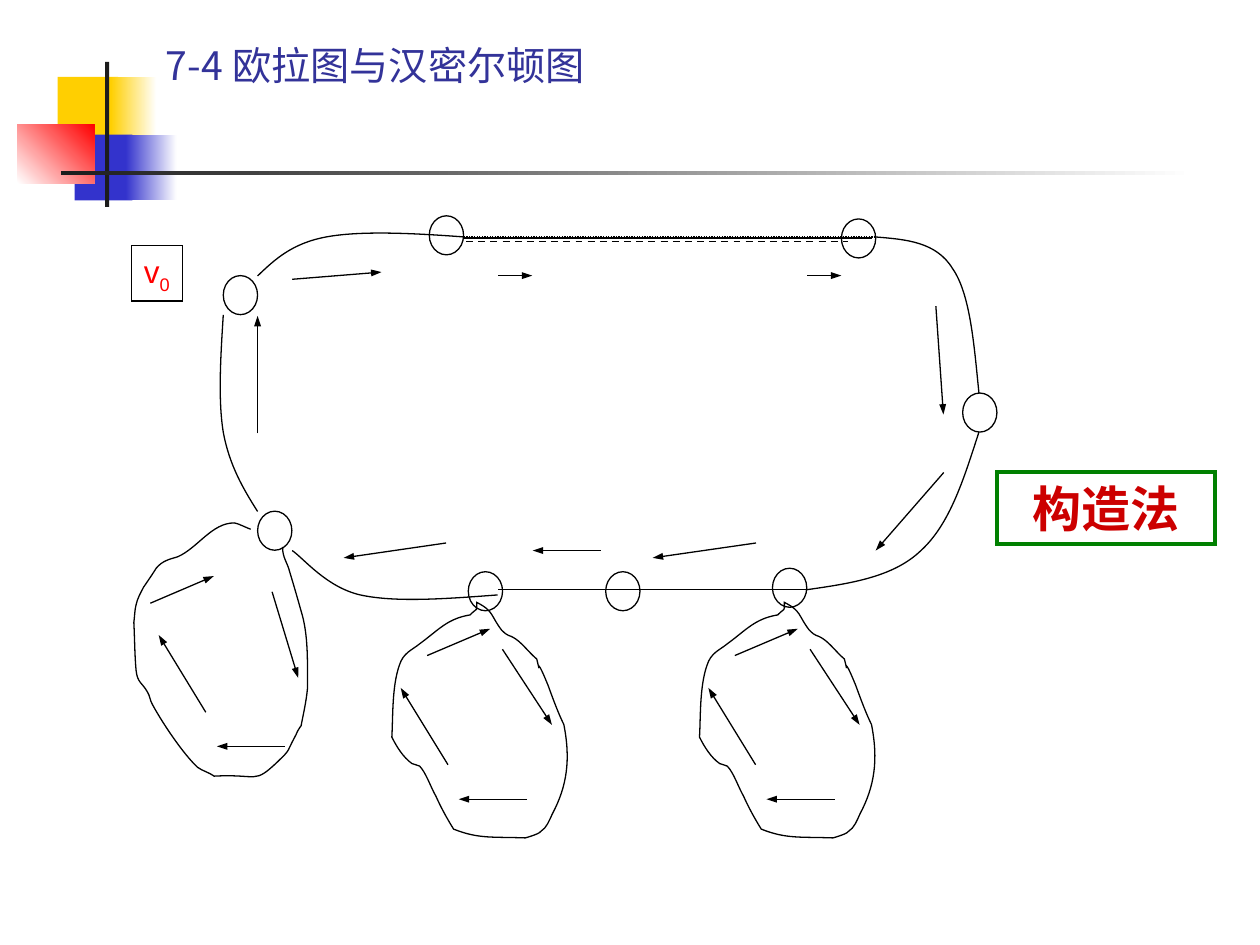
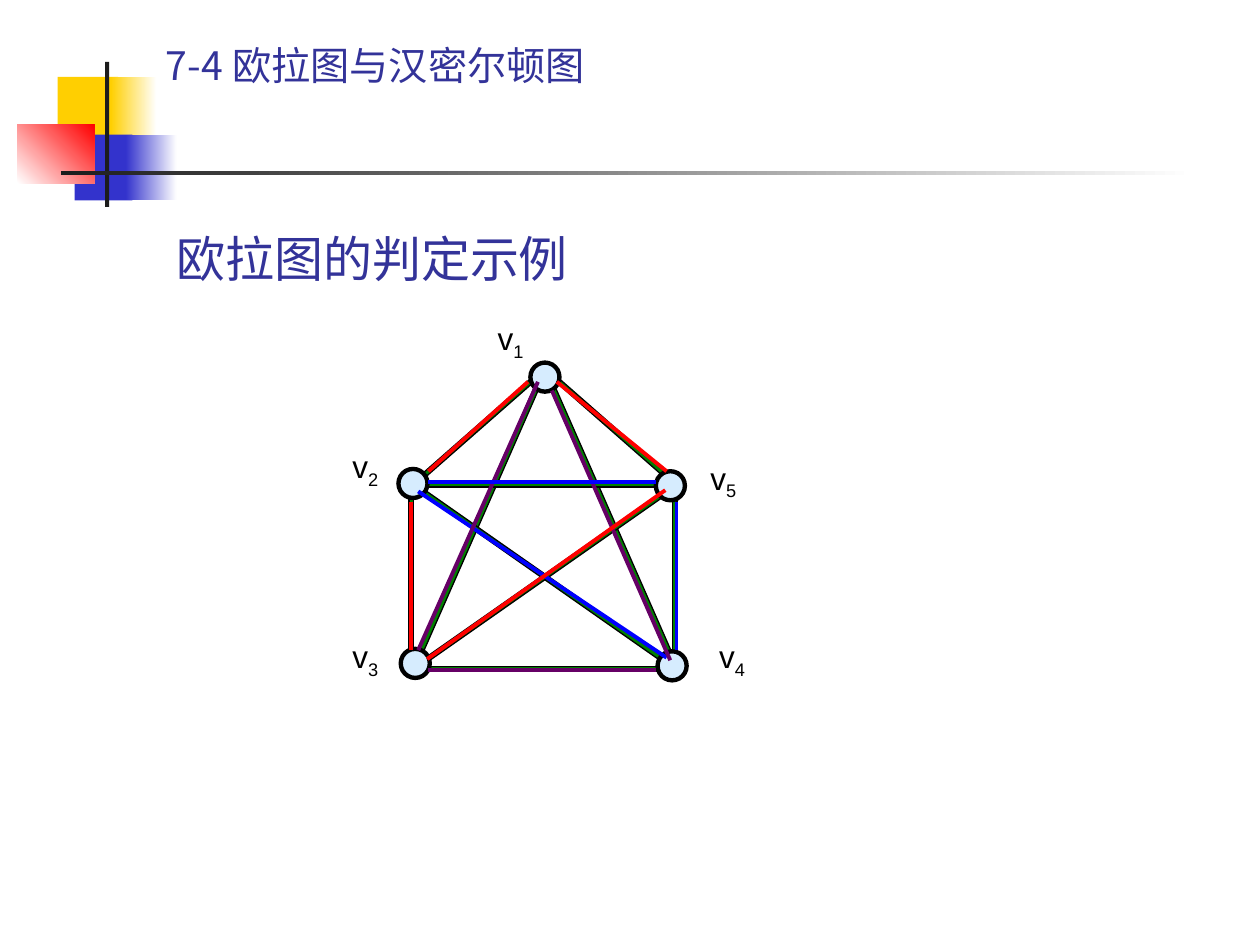
import itertools
import math
from typing import NamedTuple, Optional

import lxml.etree
import pptx
import pptx.dml.color
import pptx.enum.dml
import pptx.enum.shapes
import pptx.enum.text
import pptx.oxml.ns
import pptx.util

Pt = pptx.util.Pt
qn = pptx.oxml.ns.qn
SHAPE = pptx.enum.shapes.MSO_SHAPE
DASH = pptx.enum.dml.MSO_LINE
ALIGN = pptx.enum.text.PP_ALIGN
ANCHOR = pptx.enum.text.MSO_ANCHOR
FIT = pptx.enum.text.MSO_AUTO_SIZE

COLORS = {
    "black": "000000", "white": "FFFFFF", "title": "333399", "bar": "1C1C1C",
    "yellow": "FFCF01", "indigo": "3333CC", "red": "FF0000", "blue": "0000FF",
    "purple": "660066", "green": "008000", "method": "CC0000", "node": "D6ECFE",
}
CJK_FONT = "Noto Sans CJK SC"
TITLE = "7-4 欧拉图与汉密尔顿图"
LABEL_SIZE = (29.2, 31.7)
Point = tuple[float, float]


class Box(NamedTuple):
    left: float
    top: float
    width: float
    height: float


class Band(NamedTuple):
    box: Box
    start: str
    end: Optional[str] = None
    angle: float = 0


class Line(NamedTuple):
    start: Point
    end: Point
    color: str = "black"
    width: float = 0.75
    dash: Optional[DASH] = None
    arrow: bool = False


class Curve(NamedTuple):
    """A start point followed by cubic segments (control, control, end)."""
    start: Point
    segments: list[tuple[float, ...]]
    closed: bool = False


class Loop(NamedTuple):
    outline: Curve
    arrows: list[tuple[float, ...]]
    shift: float = 0


class TextStyle(NamedTuple):
    size: float
    color: str
    font: str = "Arial"
    bold: bool = False
    align: ALIGN = ALIGN.CENTER
    spacing: Optional[float] = None


# Shared decoration
BANDS = [
    Band(Box(33, 44, 34.5, 37.5), "yellow"),
    Band(Box(63.4, 44, 26, 37.5), "yellow", "white"),
    Band(Box(42.7, 77, 33, 37.5), "indigo"),
    Band(Box(72, 77, 29, 37.5), "indigo", "white"),
    Band(Box(10, 71.3, 44, 33.4), "white", "red", 45),
    Band(Box(60, 35.3, 2.4, 82.9), "bar"),
    Band(Box(34.6, 97.9, 648, 2.2), "bar", "white"),
]

# Slide 1: the circuit, its side loops and directions
CIRCUIT_NODE_SIZE = (19.6, 22.3)
CIRCUIT_NODES = [(127.6, 157.5), (550.1, 224.6), (441.4, 324.7), (267.6, 326.7),
                 (346.1, 326.7), (147.2, 292.1), (245.3, 123.3), (480.8, 125.1)]
CIRCUIT_ARCS = [
    Curve((147.2, 157.7), [(157, 148.3, 167, 139, 186.5, 135.4),
                           (205.9, 131.8, 235.4, 133.2, 265, 135.4)]),
    Curve((500.4, 135.4), [(517.7, 136.8, 535, 138.2, 544.3, 153.4),
                           (554.4, 167.8, 556.6, 196.6, 559.4, 224.6)]),
    Curve((559.4, 247), [(550.8, 273.6, 542.9, 299.5, 526.3, 314.6),
                         (510.5, 329.8, 486, 333.4, 460.8, 337)]),
    Curve((284.4, 340), [(254.9, 342.2, 226.1, 344.4, 205.9, 340),
                         (186.5, 335.5, 173.5, 319, 167, 314.6)]),
    Curve((127.6, 180), [(126, 204.5, 124.6, 229, 127.6, 247),
                         (131, 265.7, 139, 279.4, 147.2, 292.3)]),
]
CIRCUIT_LINES = [
    Line((460.8, 337), (284.4, 337)),
    Line((265, 135.4), (500.4, 135.4), dash=DASH.ROUND_DOT),
    Line((266.4, 138), (484.6, 138), width=1, dash=DASH.DASH),
    Line((265, 136), (498.2, 136), width=1),
]
CIRCUIT_ARROWS = [
    (539.3, 270, 500.4, 314.6), (432, 310.3, 373, 318.8), (254.9, 310.3, 196.4, 318.8),
    (343.4, 314.6, 304.4, 314.6), (147.2, 247.7, 147.2, 180.5),
    (167, 159.6, 218, 155.5), (534.8, 175, 539.1, 236.9),
    (284.6, 157.5, 304.2, 157.5), (461.2, 157.5, 480.8, 157.5),
]
LEFT_LOOP = Loop(
    Curve((143.3, 302.4), [
        (141.1, 301.7, 135.4, 298.8, 133.9, 298.8), (121, 298.8, 113, 313.2, 101.5, 318.2),
        (96.5, 319.7, 92.9, 320.4, 89.3, 324.7), (87.1, 328.3, 82.1, 335.5, 82.1, 335.5),
        (80.6, 338.4, 78.5, 342, 77.8, 345.6), (77, 348.5, 77, 352.1, 76.5, 355.7),
        (77, 365, 77, 374.4, 77.8, 383), (78.5, 390.2, 81.4, 390.2, 84.2, 395.3),
        (85.7, 397.4, 85.7, 400.3, 87.1, 402.5), (92.9, 413.3, 105.1, 431.3, 113, 438.5),
        (115.9, 440.6, 119.5, 441.4, 122.4, 443.5), (148.3, 442.1, 144.7, 448.6, 159.1, 434.9),
        (166.3, 427.7, 162.7, 432, 169.2, 419.8), (169.9, 417.6, 172.1, 414.7, 172.1, 414.7),
        (173.5, 407.5, 175, 401, 175.7, 393.8), (175.7, 379.4, 176.4, 362.9, 172.1, 349.2),
        (169.9, 341.3, 167.8, 334.1, 165.6, 326.9), (164.2, 321.1, 161.5, 319, 161.5, 312.5),
    ]),
    [(155.5, 338.2, 170.4, 387.4), (162.9, 426.5, 124, 426.5),
     (117.6, 407, 90.7, 362.9), (85.9, 344.7, 122.2, 329.2)],
)
MIDDLE_LOOP = Loop(
    Curve((272.4, 344.2), [
        (282.2, 349.2, 280.1, 351.4, 286.6, 360), (290.9, 364.3, 290.2, 362.2, 294.5, 365),
        (298.8, 367.9, 302.4, 373, 306.7, 376.6), (310.3, 391, 303.8, 368.6, 313.2, 391.7),
        (316.1, 399.6, 319, 407.5, 322.2, 414), (326.2, 434.2, 324, 449.3, 315.6, 465.1),
        (313.9, 468.7, 312.5, 473, 308.9, 475.2), (308.2, 476.6, 300.2, 478.8, 300.2, 478.8),
        (281.5, 478.1, 273.6, 479.5, 259.2, 473.8), (255.6, 468, 252, 461.5, 249.1, 455),
        (246.2, 450, 243.4, 441.4, 239.8, 437.8), (238.3, 437, 236.9, 437, 235.4, 436.3),
        (230.4, 432.7, 226.8, 427, 223.9, 421.2), (224.6, 409.7, 223.9, 392.4, 228.2, 380.2),
        (230.4, 373, 235.4, 371.5, 239.8, 367.9), (250.6, 360, 255.6, 353.5, 268.6, 351.4),
        (272.9, 347, 272.4, 349.9, 272.4, 344.2),
    ], closed=True),
    [(301.2, 456.7, 262.2, 456.7), (287.1, 371, 315.4, 414.2),
     (244.1, 374.6, 280.1, 359.3), (256, 437, 229, 393.1)],
)
LOOPS = [MIDDLE_LOOP._replace(shift=175.8), LEFT_LOOP, MIDDLE_LOOP]

# Slide 2: the complete graph on five vertices
BAR_WIDTH = 2.7
STRAIGHT_BAR_SHIFT = -1.1
VERTEX_SIZE = 16.6
BAR_ENDS = [(311.4, 211), (236.2, 277), (236.2, 382.3), (386.6, 382.3), (386.6, 277)]
VERTICES = [(303.1, 207.2), (227.7, 268), (229, 370.8), (375.8, 372.2), (374.8, 269.3)]
LABELS = [(277.2, 178.6), (194.2, 252), (194.2, 360.4), (403.7, 360.4), (398.7, 258.5)]
TRAILS = [
    ("red", (301.7, 218.2), (244.8, 269.3)), ("red", (235, 286.6), (235, 371.5)),
    ("purple", (244.8, 383), (375.1, 383)), ("blue", (386.6, 371.5), (386.6, 286.6)),
    ("red", (380.9, 269.3), (318.2, 218.2)), ("blue", (239, 280.8), (380.9, 375.8)),
    ("purple", (315.4, 223.2), (383, 377.3)), ("purple", (239, 371.5), (307.4, 218.2)),
    ("red", (244.1, 376.6), (380.2, 280.1)), ("blue", (244.8, 275.2), (375.1, 275.2)),
]


def rgb(name: str) -> pptx.dml.color.RGBColor:
    return pptx.dml.color.RGBColor.from_string(COLORS[name])


def style_shape(shape, fill: Optional[str], line: Optional[str], width: float = 0.75) -> None:
    shape.shadow.inherit = False
    if fill:
        shape.fill.solid()
        shape.fill.fore_color.rgb = rgb(fill)
    else:
        shape.fill.background()
    if line:
        shape.line.color.rgb = rgb(line)
        shape.line.width = Pt(width)
        outline = shape._element.spPr.find(qn("a:ln"))
        lxml.etree.SubElement(outline, qn("a:miter"), lim="800000")
    else:
        shape.line.fill.background()


def add_preset(slide, kind: SHAPE, box: Box, fill: Optional[str] = None,
               line: Optional[str] = "black", width: float = 0.75):
    shape = slide.shapes.add_shape(kind, *map(Pt, box))
    style_shape(shape, fill, line, width)
    return shape


def add_outline(slide, points: list[Point], closed: bool, fill: Optional[str] = None):
    vertices = [(Pt(x), Pt(y)) for x, y in points]
    builder = slide.shapes.build_freeform(*vertices[0])
    builder.add_line_segments(vertices[1:], close=closed)
    shape = builder.convert_to_shape()
    style_shape(shape, fill, "black")
    return shape


def add_curve(slide, curve: Curve, shift: float = 0) -> None:
    points = [curve.start]
    for segment in curve.segments:
        points += zip(segment[::2], segment[1::2])
    shape = add_outline(slide, [(x + shift, y) for x, y in points], curve.closed)
    # Merge each run of three straight steps into one cubic segment
    steps = list(shape._element.iter(qn("a:lnTo")))
    for first, second, third in zip(steps[::3], steps[1::3], steps[2::3]):
        cubic = lxml.etree.Element(qn("a:cubicBezTo"))
        first.addprevious(cubic)
        for step in (first, second, third):
            cubic.append(step[0])
            step.getparent().remove(step)


def add_line(slide, line: Line) -> None:
    connector = slide.shapes.add_connector(
        pptx.enum.shapes.MSO_CONNECTOR.STRAIGHT, *map(Pt, line.start + line.end))
    connector.line.color.rgb = rgb(line.color)
    connector.line.width = Pt(line.width)
    if line.dash:
        connector.line.dash_style = line.dash
    properties = connector._element.spPr
    if line.arrow:
        lxml.etree.SubElement(properties.find(qn("a:ln")), qn("a:tailEnd"),
                              type="triangle", w="sm")
    lxml.etree.SubElement(properties, qn("a:effectLst"))


def add_arrows(slide, arrows: list[tuple[float, ...]], shift: float = 0) -> None:
    for x1, y1, x2, y2 in arrows:
        add_line(slide, Line((x1 + shift, y1), (x2 + shift, y2), arrow=True))


def write_text(shape, text: str, style: TextStyle, subscript: str = "",
               anchor: ANCHOR = ANCHOR.TOP, wrap: bool = True) -> None:
    frame = shape.text_frame
    frame.word_wrap = wrap
    frame.auto_size = FIT.NONE if wrap else FIT.SHAPE_TO_FIT_TEXT
    frame.vertical_anchor = anchor
    paragraph = frame.paragraphs[0]
    paragraph.alignment = style.align
    paragraph.line_spacing = style.spacing
    font = paragraph.font
    font.size = Pt(style.size)
    font.bold = style.bold
    font.color.rgb = rgb(style.color)
    font.name = style.font
    defaults = paragraph._p.pPr.find(qn("a:defRPr"))
    lxml.etree.SubElement(defaults, qn("a:ea"), typeface=CJK_FONT)
    paragraph.add_run().text = text
    if subscript:
        run = paragraph.add_run()
        run.text = subscript
        run._r.get_or_add_rPr().set("baseline", "-25000")


def add_heading(slide, box: Box, text: str, style: TextStyle) -> None:
    write_text(slide.shapes.add_textbox(*map(Pt, box)), text, style, anchor=ANCHOR.BOTTOM)


def add_base_slide(presentation):
    slide = presentation.slides.add_slide(presentation.slide_layouts[6])
    for band in BANDS:
        shape = add_preset(slide, SHAPE.RECTANGLE, band.box, band.start, None)
        if band.end:
            shape.fill.gradient()
            shape.fill.gradient_angle = band.angle
            for stop, color, position in zip(shape.fill.gradient_stops,
                                             (band.start, band.end), (0, 1)):
                stop.color.rgb = rgb(color)
                stop.position = position
    add_heading(slide, Box(87.8, 20.2, 532.8, 33.8), TITLE,
                TextStyle(22.4, "title", CJK_FONT, align=ALIGN.LEFT, spacing=0.8))
    return slide


def add_bar(slide, start: Point, end: Point) -> None:
    (x1, y1), (x2, y2) = start, end
    half = BAR_WIDTH / 2
    if x1 == x2 or y1 == y2:
        wide, tall = abs(x2 - x1), abs(y2 - y1)
        box = Box(min(x1, x2) - half * (not wide) + STRAIGHT_BAR_SHIFT,
                  min(y1, y2) - half * (not tall), wide or BAR_WIDTH, tall or BAR_WIDTH)
        add_preset(slide, SHAPE.RECTANGLE, box, "green")
        return
    length = math.dist(start, end)
    dx, dy = half * (y2 - y1) / length, half * (x1 - x2) / length
    corners = [(x1 + dx, y1 + dy), (x1 - dx, y1 - dy), (x2 - dx, y2 - dy), (x2 + dx, y2 + dy)]
    add_outline(slide, corners, True, "green")


def build_construction(presentation) -> None:
    slide = add_base_slide(presentation)
    for loop in LOOPS:
        add_curve(slide, loop.outline, loop.shift)
        add_arrows(slide, loop.arrows, loop.shift)
    for arc in CIRCUIT_ARCS:
        add_curve(slide, arc)
    for line in CIRCUIT_LINES:
        add_line(slide, line)
    add_arrows(slide, CIRCUIT_ARROWS)
    for corner in CIRCUIT_NODES:
        add_preset(slide, SHAPE.OVAL, Box(*corner, *CIRCUIT_NODE_SIZE))
    start_label = add_preset(slide, SHAPE.RECTANGLE, Box(75, 140.4, *LABEL_SIZE))
    write_text(start_label, "v", TextStyle(18, "red"), "0", wrap=False)
    method = add_preset(slide, SHAPE.RECTANGLE, Box(569.5, 270, 124.6, 41), None, "green", 2.25)
    write_text(method, "构造法", TextStyle(28, "method", bold=True))


def build_example(presentation) -> None:
    slide = add_base_slide(presentation)
    add_heading(slide, Box(93.8, 122.2, 612, 45.4), "欧拉图的判定示例",
                TextStyle(28, "title", "Comic Neue", align=ALIGN.LEFT))
    for start, end in itertools.combinations(BAR_ENDS, 2):
        add_bar(slide, start, end)
    for corner in VERTICES:
        add_preset(slide, SHAPE.OVAL, Box(*corner, VERTEX_SIZE, VERTEX_SIZE), "node", width=2.5)
    for color, start, end in TRAILS:
        add_line(slide, Line(start, end, color, 2.25))
    for number, corner in enumerate(LABELS, 1):
        label = slide.shapes.add_textbox(*map(Pt, corner + LABEL_SIZE))
        write_text(label, "v", TextStyle(18, "black"), str(number), wrap=False)


def main() -> None:
    presentation = pptx.Presentation()
    presentation.slide_width, presentation.slide_height = Pt(720), Pt(540)
    build_construction(presentation)
    build_example(presentation)
    presentation.save("out.pptx")


if __name__ == "__main__":
    main()
